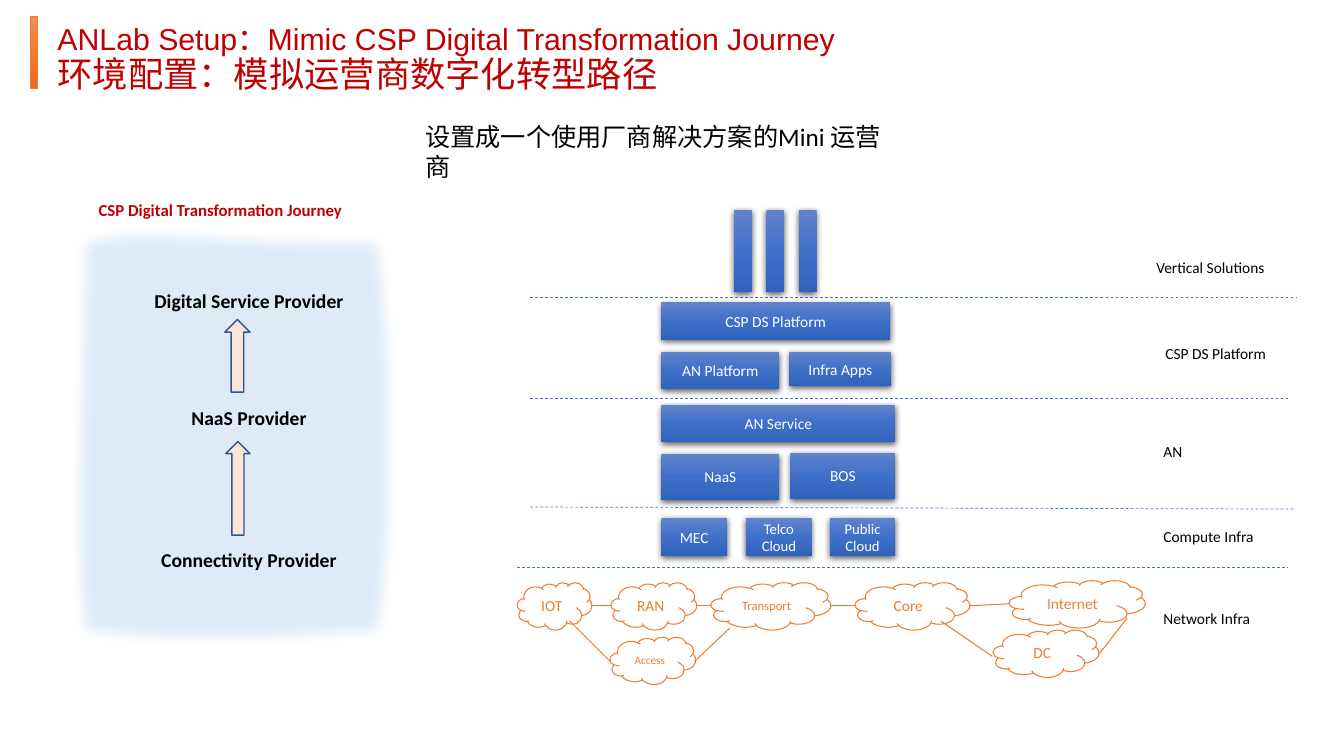
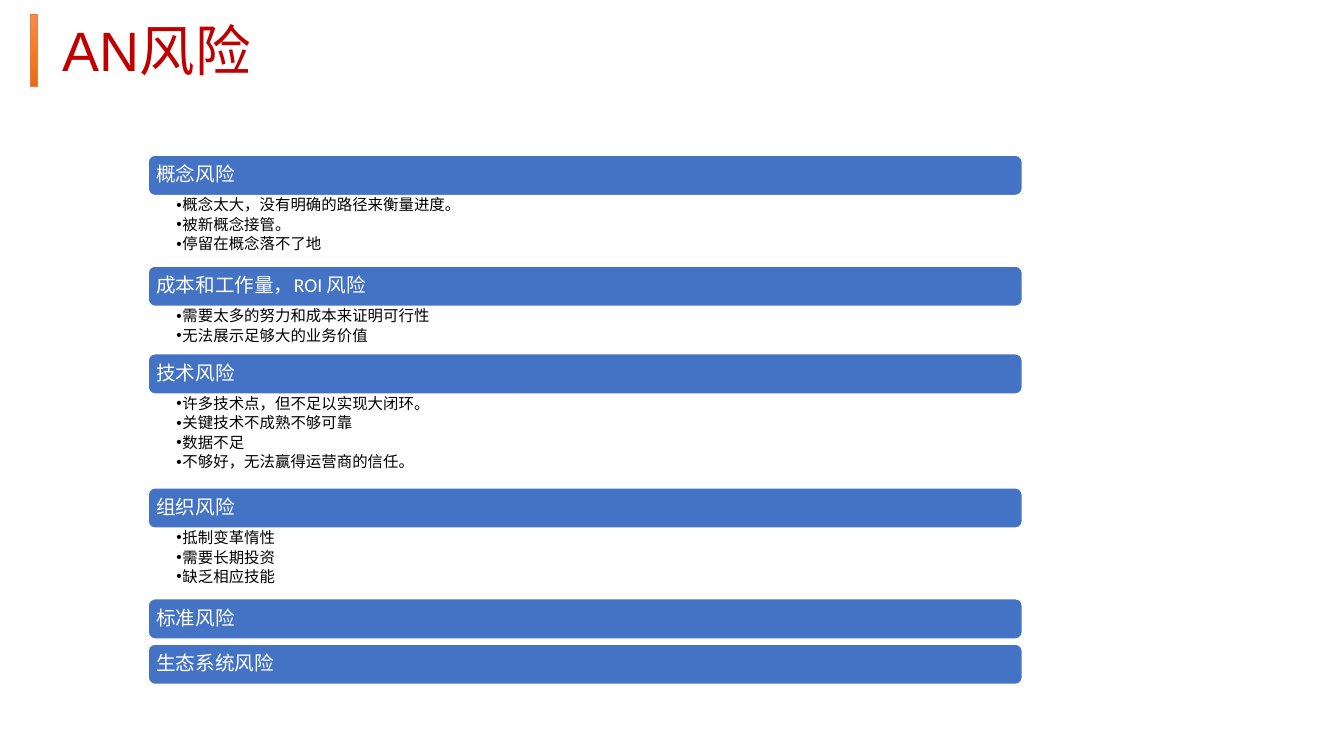
"""Build two slides: the ANLab transformation setup and the AN risks."""
from copy import deepcopy

from lxml import etree
from pptx import Presentation
from pptx.dml.color import RGBColor
from pptx.enum.dml import MSO_LINE
from pptx.enum.shapes import MSO_CONNECTOR, MSO_SHAPE
from pptx.enum.text import MSO_ANCHOR, MSO_AUTO_SIZE, PP_ALIGN
from pptx.oxml.ns import qn
from pptx.util import Inches, Pt

RECT, ROUND = MSO_SHAPE.RECTANGLE, MSO_SHAPE.ROUNDED_RECTANGLE
CLOUD, UP_ARROW = MSO_SHAPE.CLOUD, MSO_SHAPE.UP_ARROW
STRAIGHT, DASH = MSO_CONNECTOR.STRAIGHT, MSO_LINE.DASH
LEFT, CENTER = PP_ALIGN.LEFT, PP_ALIGN.CENTER
TOP, MIDDLE = MSO_ANCHOR.TOP, MSO_ANCHOR.MIDDLE
NO_FIT = MSO_AUTO_SIZE.NONE

RED = RGBColor(0xC0, 0x00, 0x00)
BLACK = RGBColor(0x00, 0x00, 0x00)
WHITE = RGBColor(0xFF, 0xFF, 0xFF)
BLUE = RGBColor(0x44, 0x72, 0xC4)
NAVY = RGBColor(0x32, 0x54, 0x91)
PALE_BLUE = RGBColor(0xDE, 0xEB, 0xF7)
PEACH = RGBColor(0xFB, 0xE5, 0xD6)
ORANGE = RGBColor(0xED, 0x7D, 0x31)
BLUE_SHADES = [RGBColor(0x61, 0x83, 0xCB), RGBColor(0x3E, 0x70, 0xCA), RGBColor(0x30, 0x62, 0xBB)]
ORANGE_SHADES = [RGBColor(0xF1, 0x8C, 0x57), RGBColor(0xF6, 0x7B, 0x28), RGBColor(0xE5, 0x6C, 0x19)]
TITLE_FONT, BODY_FONT = "Arial", "Calibri"

SETUP_TITLE = [("ANLab Setup：Mimic CSP Digital Transformation Journey", 21.6),
               ("环境配置：模拟运营商数字化转型路径", 25.2)]
SETUP_SUBTITLE = "设置成一个使用厂商解决方案的Mini 运营商"
JOURNEY_HEADING = "CSP Digital Transformation Journey"
JOURNEY_STAGES = [("Digital Service Provider", 0), ("NaaS Provider", 66.5),
                  ("Connectivity Provider", 84.5)]
JOURNEY_ARROWS = [(2.23, 3.17, 0.25, 0.72), (2.24, 4.38, 0.24, 0.93)]
PANEL_START = (0.75, 2.31)
PANEL_CURVES = [((1.08, 2.14), (2.68, 2.32), (3.83, 2.31)),
                ((3.98, 2.92), (4.01, 5.75), (3.83, 6.36)),
                ((2.79, 6.4), (2.15, 6.48), (0.75, 6.36)),
                ((0.62, 5.67), (0.74, 3.27), (0.75, 2.31))]
BLOCKS = [("CSP DS Platform", (6.56, 3, 2.27, 0.37), 11),
          ("AN Platform", (6.56, 3.49, 1.17, 0.37), 11),
          ("Infra Apps", (7.83, 3.49, 1.01, 0.34), 11),
          ("AN Service", (6.56, 4.02, 2.32, 0.37), 11),
          ("NaaS", (6.56, 4.5, 1.17, 0.46), 11),
          ("BOS", (7.84, 4.49, 1.04, 0.46), 11),
          ("MEC", (6.56, 5.14, 0.65, 0.38), 11),
          ("Telco Cloud", (7.4, 5.14, 0.65, 0.38), 10.5),
          ("Public Cloud", (8.23, 5.14, 0.65, 0.38), 10.5)]
LAYER_LABELS = [("Vertical Solutions", 11.37, 2.51), ("CSP DS Platform", 11.46, 3.36),
                ("AN", 11.44, 4.34), ("Compute Infra", 11.44, 5.18),
                ("Network Infra", 11.44, 5.99)]
LAYER_DIVIDERS = [((5.26, 2.95), (12.85, 2.95)), ((5.26, 3.95), (12.77, 3.95)),
                  ((5.26, 5.03), (12.85, 5.05)), ((5.13, 5.63), (12.77, 5.63))]
CLOUD_HEIGHT = 0.47
CLOUDS = [("IOT", 5.13, 5.78, 0.74, 11), ("RAN", 6.06, 5.78, 0.85, 11),
          ("Transport", 7.05, 5.78, 1.19, 9), ("Core", 8.48, 5.78, 1.14, 11),
          ("Internet", 10.01, 5.76, 1.35, 11), ("Access", 6.05, 6.32, 0.85, 8),
          ("DC", 9.85, 6.25, 1.05, 11)]
CLOUD_LINKS = [((5.87, 6.01), (6.06, 6.01)), ((6.91, 6.01), (7.05, 6.01)),
               ((8.23, 6.01), (8.48, 6.01)), ((9.61, 6.01), (10.02, 5.99)),
               ((9.33, 6.16), (9.84, 6.51)), ((6.05, 6.56), (5.65, 6.16)),
               ((6.89, 6.56), (7.24, 6.23)), ((11.18, 6.13), (10.9, 6.49))]

RISK_TITLE = [("AN风险", 39.6)]
RISKS = [("概念风险", ["概念太大，没有明确的路径来衡量进度。", "被新概念接管。", "停留在概念落不了地"]),
         ("成本和工作量，ROI 风险", ["需要太多的努力和成本来证明可行性", "无法展示足够大的业务价值"]),
         ("技术风险", ["许多技术点，但不足以实现大闭环。", "关键技术不成熟不够可靠", "数据不足",
                   "不够好，无法赢得运营商的信任。"]),
         ("组织风险", ["抵制变革惰性", "需要长期投资", "缺乏相应技能"]),
         ("标准风险", []),
         ("生态系统风险", [])]
RISK_LEFT, RISK_TOP, RISK_WIDTH, HEADER_HEIGHT = 1.47, 1.54, 8.67, 0.4
ITEM_HEIGHT, LIST_PADDING, EMPTY_GAP = 0.23, 0.01, 0.05


def inches(values):
    return [Inches(value) for value in values]


def place(shape, box):
    shape.left, shape.top, shape.width, shape.height = inches(box)


def set_margins(frame, margins):
    (frame.margin_left, frame.margin_top,
     frame.margin_right, frame.margin_bottom) = inches(margins)


def style(paragraph, size, color, align=LEFT, bold=False, face=BODY_FONT):
    paragraph.alignment = align
    font = paragraph.font
    font.name, font.size, font.bold = face, Pt(size), bold
    font.color.rgb = color


def fill_lines(frame, lines):
    """Write one paragraph per line and return the paragraphs."""
    frame.text = lines[0]
    for line in lines[1:]:
        frame.add_paragraph().text = line
    return frame.paragraphs


def add_text(slide, box, lines, size, color=BLACK, align=LEFT, bold=False):
    frame = slide.shapes.add_textbox(*inches(box)).text_frame
    frame.word_wrap = True
    paragraphs = fill_lines(frame, lines)
    for paragraph in paragraphs:
        style(paragraph, size, color, align, bold)
    return paragraphs


def add_block(slide, preset, box, fill=None, line=None, line_width=0.75):
    shape = slide.shapes.add_shape(preset, *inches(box))
    shape.shadow.inherit = False
    if fill is None:
        shape.fill.background()
    elif isinstance(fill, list):
        paint_gradient(shape, fill)
    else:
        shape.fill.solid()
        shape.fill.fore_color.rgb = fill
    if line is None:
        shape.line.fill.background()
    else:
        shape.line.color.rgb = line
        shape.line.width = Pt(line_width)
    return shape


def paint_gradient(shape, shades):
    shape.fill.gradient()
    shape.fill.gradient_angle = 270
    first_stop = shape._element.spPr.find(".//" + qn("a:gs"))
    first_stop.addnext(deepcopy(first_stop))
    for index, (stop, shade) in enumerate(zip(shape.fill.gradient_stops, shades)):
        stop.position = index / 2
        stop.color.rgb = shade


def add_effect(shape, tag, **attributes):
    effects = shape._element.spPr.find(qn("a:effectLst"))
    return etree.SubElement(effects, qn(tag), **attributes)


def add_drop_shadow(shape):
    shadow = add_effect(shape, "a:outerShdw", blurRad="57150", dist="19050",
                        dir="5400000", algn="ctr", rotWithShape="0")
    black = etree.SubElement(shadow, qn("a:srgbClr"), val="000000")
    etree.SubElement(black, qn("a:alpha"), val="63000")


def add_line(slide, start, end, color, width, dash=None):
    connector = slide.shapes.add_connector(STRAIGHT, *inches(start + end))
    connector.line.color.rgb = color
    connector.line.width = Pt(width)
    if dash is not None:
        connector.line.dash_style = dash
    etree.SubElement(connector._element.spPr, qn("a:effectLst"))


def add_titled_slide(prs, layout_index, title_lines, title_box, accent_top):
    slide = prs.slides.add_slide(prs.slide_layouts[layout_index])
    title = slide.shapes.title
    place(title, title_box)
    frame = title.text_frame
    frame.auto_size, frame.vertical_anchor = NO_FIT, MIDDLE
    paragraphs = fill_lines(frame, [text for text, _ in title_lines])
    for paragraph, (_, size) in zip(paragraphs, title_lines):
        paragraph.line_spacing = 0.9
        style(paragraph, size, RED, face=TITLE_FONT)
    add_block(slide, RECT, (0.3, accent_top, 0.07, 0.72), ORANGE_SHADES, ORANGE, 0.5)
    return slide


def curve_points(start, curves, steps=12):
    """Sample a chain of cubic curves."""
    points = []
    for near, far, end in curves:
        for step in range(1, steps + 1):
            t = step / steps
            u = 1 - t
            points.append(tuple(
                Inches(u**3 * a + 3 * u * u * t * b + 3 * u * t * t * c + t**3 * d)
                for a, b, c, d in zip(start, near, far, end)))
        start = end
    return points


def add_journey(slide):
    builder = slide.shapes.build_freeform(*inches(PANEL_START))
    builder.add_line_segments(curve_points(PANEL_START, PANEL_CURVES), close=True)
    panel = builder.convert_to_shape()
    panel.shadow.inherit = False
    panel.fill.solid()
    panel.fill.fore_color.rgb = PALE_BLUE
    panel.line.fill.background()
    add_effect(panel, "a:softEdge", rad="112500")
    add_text(slide, (0.88, 1.93, 3.2, 0.3), [JOURNEY_HEADING], 12, RED, bold=True)
    stages = add_text(slide, (1.2, 2.82, 2.54, 3.2), [name for name, _ in JOURNEY_STAGES],
                      14, align=CENTER, bold=True)
    for stage, (_, gap) in zip(stages, JOURNEY_STAGES):
        stage.space_before = Pt(gap)
    for box in JOURNEY_ARROWS:
        add_block(slide, UP_ARROW, box, PEACH, NAVY, 1)


def add_architecture(slide):
    for start, end in LAYER_DIVIDERS:
        add_line(slide, start, end, BLUE, 0.5, DASH)
    for column in range(3):
        pillar = add_block(slide, RECT, (7.28 + 0.32 * column, 2.08, 0.18, 0.82), BLUE_SHADES)
        add_drop_shadow(pillar)
    for name, box, size in BLOCKS:
        block = add_block(slide, RECT, box, BLUE_SHADES)
        add_drop_shadow(block)
        block.text_frame.text = name
        style(block.text_frame.paragraphs[0], size, WHITE, CENTER)
    for name, left, top in LAYER_LABELS:
        add_text(slide, (left, top, 1.46, 0.29), [name], 11)
    for name, left, top, width, size in CLOUDS:
        cloud = add_block(slide, CLOUD, (left, top, width, CLOUD_HEIGHT), line=ORANGE)
        cloud.text_frame.word_wrap = False
        cloud.text_frame.text = name
        style(cloud.text_frame.paragraphs[0], size, ORANGE, CENTER)
    for start, end in CLOUD_LINKS:
        add_line(slide, start, end, ORANGE, 0.75)


def add_risk_list(body, items, box):
    place(body, box)
    frame = body.text_frame
    frame.auto_size, frame.vertical_anchor = NO_FIT, TOP
    set_margins(frame, (0.28, 0.02, 0.11, 0.02))
    for paragraph in fill_lines(frame, items):
        properties = paragraph._p.get_or_add_pPr()
        properties.set("marL", str(Inches(0.06)))
        properties.set("indent", str(-Inches(0.06)))
        etree.SubElement(properties, qn("a:buChar"), char="•")
        paragraph.line_spacing = 0.9
        paragraph.space_before, paragraph.space_after = Pt(0), Pt(2)
        style(paragraph, 11, BLACK)


def add_risks(slide):
    bodies = iter([holder for holder in slide.placeholders
                   if holder.placeholder_format.idx in range(1, 5)])
    top = RISK_TOP
    for name, items in RISKS:
        header = add_block(slide, ROUND, (RISK_LEFT, top, RISK_WIDTH, HEADER_HEIGHT),
                           BLUE, WHITE, 1)
        set_margins(header.text_frame, (0.06, 0.06, 0.06, 0.06))
        header.text_frame.text = name
        header.text_frame.paragraphs[0].line_spacing = 0.9
        style(header.text_frame.paragraphs[0], 14, WHITE)
        top += HEADER_HEIGHT
        if items:
            height = ITEM_HEIGHT * len(items) + LIST_PADDING
            add_risk_list(next(bodies), items, (RISK_LEFT, top, RISK_WIDTH, height))
            top += height
        else:
            top += EMPTY_GAP


def main():
    prs = Presentation()
    prs.slide_width, prs.slide_height = Inches(13.33), Inches(7.5)
    setup = add_titled_slide(prs, 5, SETUP_TITLE, (0.47, 0.18, 12.4, 0.82), 0.16)
    add_text(setup, (4.12, 1.15, 4.89, 0.4), [SETUP_SUBTITLE], 18)
    add_journey(setup)
    add_architecture(setup)
    risks = add_titled_slide(prs, 4, RISK_TITLE, (0.52, 0.17, 11.5, 0.72), 0.14)
    add_risks(risks)
    prs.save("out.pptx")


if __name__ == "__main__":
    main()
